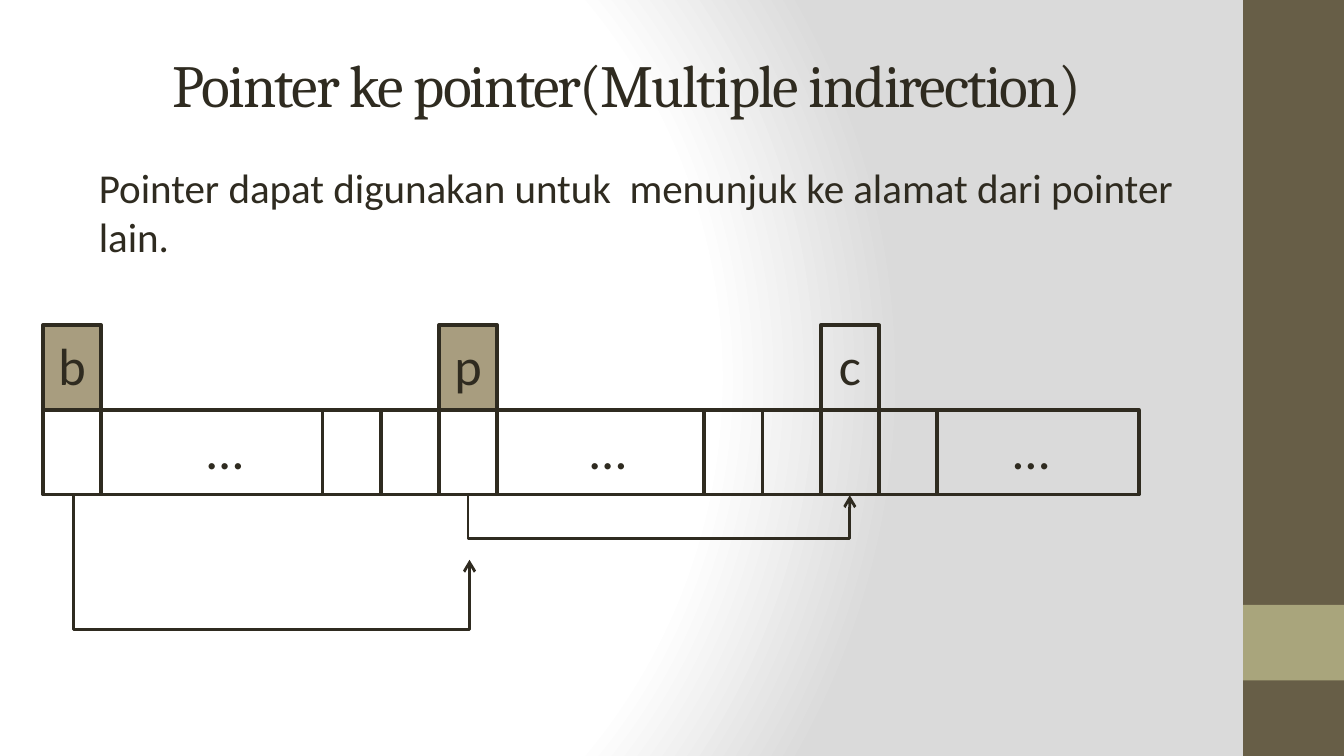
from lxml.etree import SubElement
from pptx import Presentation
from pptx.dml.color import RGBColor
from pptx.enum.shapes import MSO_CONNECTOR, MSO_SHAPE
from pptx.enum.text import MSO_ANCHOR, MSO_AUTO_SIZE, PP_ALIGN
from pptx.oxml import parse_xml
from pptx.oxml.ns import nsdecls, qn
from pptx.util import Inches, Pt

WIDE = 10
HIGH = WIDE * 9 / 16
INK, TAN, OLIVE, SAGE = "2F2B20", "A89D7F", "675E47", "A9A57C"
COL, ROW = 1.3 / 3, 0.63       # one memory cell
TOP = 3.05                     # top of the memory row
B, LEFT, RIGHT = 0.32, 2.40, 5.24   # cell b and the two runs of cells
P, C = LEFT + 2 * COL, RIGHT + 2 * COL


def color(code):
    return RGBColor.from_string(code)


def style(para, size, face="Calibri", align=PP_ALIGN.CENTER):
    para.alignment = align
    para.font.size, para.font.name = Pt(size), face
    para.font.color.rgb = color(INK)


def place(item, x, y, w, h):
    item.left, item.top, item.width, item.height = map(Inches, (x, y, w, h))


def label(item, text):
    frame = item.text_frame
    frame.word_wrap = True
    frame.vertical_anchor = MSO_ANCHOR.MIDDLE
    frame.margin_top = 0
    frame.text = text
    style(frame.paragraphs[0], 28)


def box(slide, x, y, w=COL, h=ROW, fill=None, line=INK, text=""):
    item = slide.shapes.add_shape(MSO_SHAPE.RECTANGLE, *map(Inches, (x, y, w, h)))
    item.shadow.inherit = False
    if fill:
        item.fill.solid()
        item.fill.fore_color.rgb = color(fill)
    else:
        item.fill.background()
    if line:
        item.line.color.rgb = color(line)
        item.line.width = Pt(2)
    else:
        item.line.fill.background()
    if text:
        label(item, text)


def dots(slide, x):
    label(slide.shapes.add_textbox(*map(Inches, (x, TOP, COL, ROW))), "…")


def link(slide, kind, x1, y1, x2, y2):
    wire = slide.shapes.add_connector(kind, *map(Inches, (x1, y1, x2, y2)))
    wire.line.color.rgb = color(INK)
    wire.line.width = Pt(1.5)
    SubElement(wire._element.spPr, qn("a:effectLst"))
    return wire


def hook(slide, x1, x2, y, depth):
    """Arrow that drops from x1, runs right and rises to x2."""
    mid, half, thin = (x1 + x2) / 2, (x2 - x1) / 2, 0.01
    wire = link(slide, MSO_CONNECTOR.ELBOW,
                mid + thin / 2, y - half, mid - thin / 2, y + half)
    props = wire._element.spPr
    props.find(qn("a:xfrm")).set("rot", str(270 * 60000))
    guides = props.find(qn("a:prstGeom")).find(qn("a:avLst"))
    SubElement(guides, qn("a:gd"), name="adj1",
               fmla=f"val {round(depth / thin * 100000)}")
    SubElement(props.find(qn("a:ln")), qn("a:tailEnd"), type="arrow")


def back(slide):
    slide.background.fill.solid()
    props = slide._element.cSld.find(qn("p:bg")).find(qn("p:bgPr"))
    stops = "".join(f'<a:gs pos="{pos}000"><a:srgbClr val="{code}"/></a:gs>'
                    for pos, code in ((0, "FFFFFF"), (75, "FFFFFF"), (100, "DADADA")))
    props.replace(props[0], parse_xml(
        f'<a:gradFill {nsdecls("a")} rotWithShape="1"><a:gsLst>{stops}</a:gsLst>'
        '<a:path path="circle"><a:fillToRect l="20000" t="50000" r="100000" b="50000"/>'
        '</a:path></a:gradFill>'))


def words(slide):
    title, body = slide.placeholders
    place(title, 0.5, 0.23, 8.33, 0.78)
    title.text = "Pointer ke pointer(Multiple indirection)"
    title.text_frame.vertical_anchor = MSO_ANCHOR.MIDDLE
    head = title.text_frame.paragraphs[0]
    style(head, 32, "Cambria")
    head.runs[0].font._element.set("spc", "-100")

    place(body, 0.51, 1.16, 8.33, 0.79)
    body.text = "Pointer dapat digunakan untuk  menunjuk ke alamat dari pointer lain."
    para = body.text_frame.paragraphs[0]
    style(para, 22, align=PP_ALIGN.LEFT)
    props = para._element.get_or_add_pPr()
    props.set("marL", str(Pt(9)))
    props.set("indent", "0")
    props.insert_element_before(parse_xml(f'<a:buNone {nsdecls("a")}/>'), "a:defRPr")
    for item in (title, body):
        item.text_frame.auto_size = MSO_AUTO_SIZE.NONE


def main():
    deck = Presentation()
    deck.slide_width, deck.slide_height = Inches(WIDE), Inches(HIGH)
    slide = deck.slides.add_slide(deck.slide_layouts[1])
    back(slide)

    # Side band
    band = WIDE * 0.925
    box(slide, band, 0, WIDE - band, HIGH, OLIVE, None)
    box(slide, band, HIGH * 0.8, WIDE - band, HIGH * 0.1, SAGE, None)
    words(slide)

    # Memory row
    box(slide, B + COL, TOP, 7.72)
    cells = [B] + [LEFT + i * COL for i in range(3)] + [RIGHT + i * COL for i in range(4)]
    for x in cells:
        box(slide, x, TOP)
    for x in (1.44, 4.29, 7.44):
        dots(slide, x)

    # Variable names
    for x, name, fill in ((B, "b", TAN), (P, "p", TAN), (C, "c", None)):
        box(slide, x, TOP - ROW, fill=fill, text=name)

    # Pointers
    mid, base = COL / 2, TOP + ROW
    hook(slide, P + mid, C + mid, base, 0.34)
    hook(slide, B + mid + 0.01, P + mid + 0.01, 4.16, 0.54)
    link(slide, MSO_CONNECTOR.STRAIGHT, B + mid + 0.01, 4.39, B + mid + 0.01, base)

    deck.save("out.pptx")


main()
